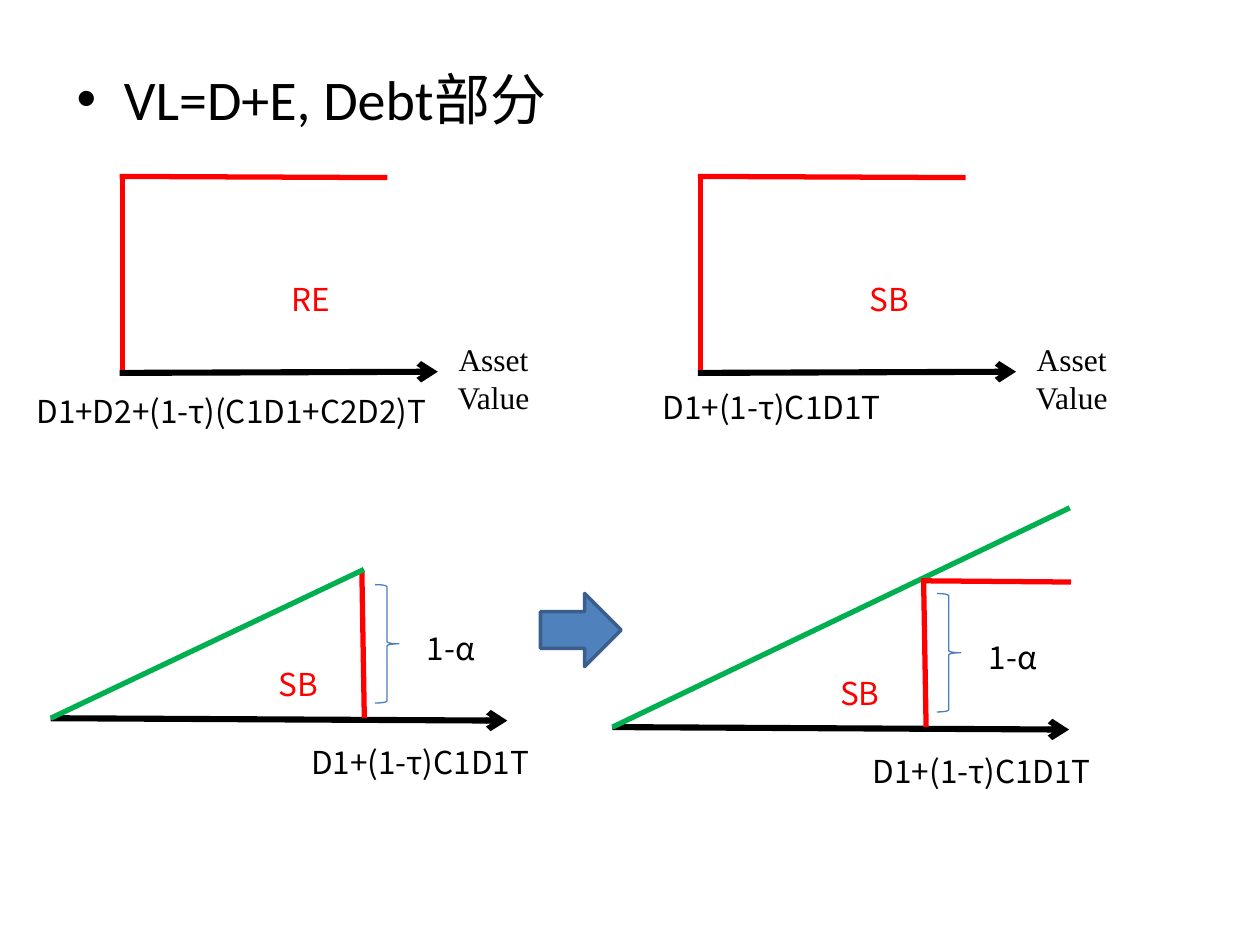
import pptx
import pptx.util
import pptx.dml.color
import pptx.enum.shapes
import pptx.enum.text
import pptx.oxml.ns
import lxml.etree

Pt = pptx.util.Pt
RGBColor = pptx.dml.color.RGBColor
MSO_SHAPE = pptx.enum.shapes.MSO_SHAPE
PP_ALIGN = pptx.enum.text.PP_ALIGN
qn = pptx.oxml.ns.qn

BLACK = RGBColor(0x00, 0x00, 0x00)
RED = RGBColor(0xFF, 0x00, 0x00)
GREEN = RGBColor(0x00, 0xB0, 0x50)
BLUE = RGBColor(0x4F, 0x81, 0xBD)
DARK_BLUE = RGBColor(0x3A, 0x5F, 0x8C)
BRACE_BLUE = RGBColor(0x4B, 0x7E, 0xBC)
LABEL_FONT = "Noto Sans CJK SC"

presentation = pptx.Presentation()
presentation.slide_width = Pt(720)
presentation.slide_height = Pt(540)
slide = presentation.slides.add_slide(presentation.slide_layouts[6])


def add_line(x1, y1, x2, y2, color, width=3, arrow=False):
    connector = slide.shapes.add_connector(
        pptx.enum.shapes.MSO_CONNECTOR.STRAIGHT, Pt(x1), Pt(y1), Pt(x2), Pt(y2))
    connector.line.color.rgb = color
    connector.line.width = Pt(width)
    if arrow:
        lxml.etree.SubElement(connector.line._get_or_add_ln(), qn("a:tailEnd"), type="arrow")
    lxml.etree.SubElement(connector._element.spPr, qn("a:effectLst"))


def add_label(text, left, top, width, height=29, color=BLACK, font=LABEL_FONT, size=18):
    box = slide.shapes.add_textbox(Pt(left), Pt(top), Pt(width), Pt(height))
    box.text_frame.word_wrap = True
    paragraph = box.text_frame.paragraphs[0]
    paragraph.text = text
    paragraph.font.name = font
    paragraph.font.size = Pt(size)
    paragraph.font.color.rgb = color
    return paragraph


title = add_label("VL=D+E, Debt部分", 36.7, 33.1, 648, 451, font="Calibri", size=32)
properties = title._p.get_or_add_pPr()
properties.set("marL", str(Pt(27)))
properties.set("indent", str(Pt(-27)))
bullet_font = lxml.etree.Element(qn("a:buFont"), typeface="Arial")
bullet = lxml.etree.Element(qn("a:buChar"), char="•")
properties.insert(0, bullet_font)
properties.insert(1, bullet)

for x, name in ((68.4, "RE"), (398.8, "SB")):
    add_line(x, 213.1, x + 181.8, 212.4, BLACK, 3.5, arrow=True)
    add_line(x + 1.6, 101.5, x + 1.6, 211.7, RED)
    add_line(x, 100.8, x + 153, 101.5, RED)
    add_label(name, x + 91, 156.2, 60, color=RED)
    axis_label = add_label("Asset Value", x + 183.6, 190.8, 60, font="Times New Roman")
    axis_label.alignment = PP_ALIGN.CENTER

add_label("D1+D2+(1-τ)(C1D1+C2D2)T", 13.7, 220.3, 240)
add_label("D1+(1-τ)C1D1T", 371.5, 218.2, 165)

for x, y, green_width, green_height in ((29, 410.4, 179, 85), (350, 415.5, 261.3, 125.3)):
    add_line(x, y, x + 260.9, y + 1.4, BLACK, 3.5, arrow=True)
    add_line(x + 177.8, y - 83.5, x + 179.2, y, RED)
    add_line(x, y, x + green_width, y - green_height, GREEN)
    brace = slide.shapes.add_shape(
        MSO_SHAPE.RIGHT_BRACE, Pt(x + 185.3), Pt(y - 76.3), Pt(13.7), Pt(67.7))
    brace.shadow.inherit = False
    brace.fill.background()
    brace.line.color.rgb = BRACE_BLUE
    brace.line.width = Pt(0.75)
    add_label("1-α", x + 207.9, y - 54.7, 72)
    add_label("SB", x + 123, y - 33.8, 85, color=RED)
    add_label("D1+(1-τ)C1D1T", x + 141.7, y + 10.8, 165)

add_line(526.3, 331.9, 612, 332.6, RED)

arrow = slide.shapes.add_shape(MSO_SHAPE.RIGHT_ARROW, Pt(308.9), Pt(339.1), Pt(46.1), Pt(41.8))
arrow.shadow.inherit = False
arrow.fill.solid()
arrow.fill.fore_color.rgb = BLUE
arrow.line.color.rgb = DARK_BLUE
arrow.line.width = Pt(2)

presentation.save("out.pptx")
